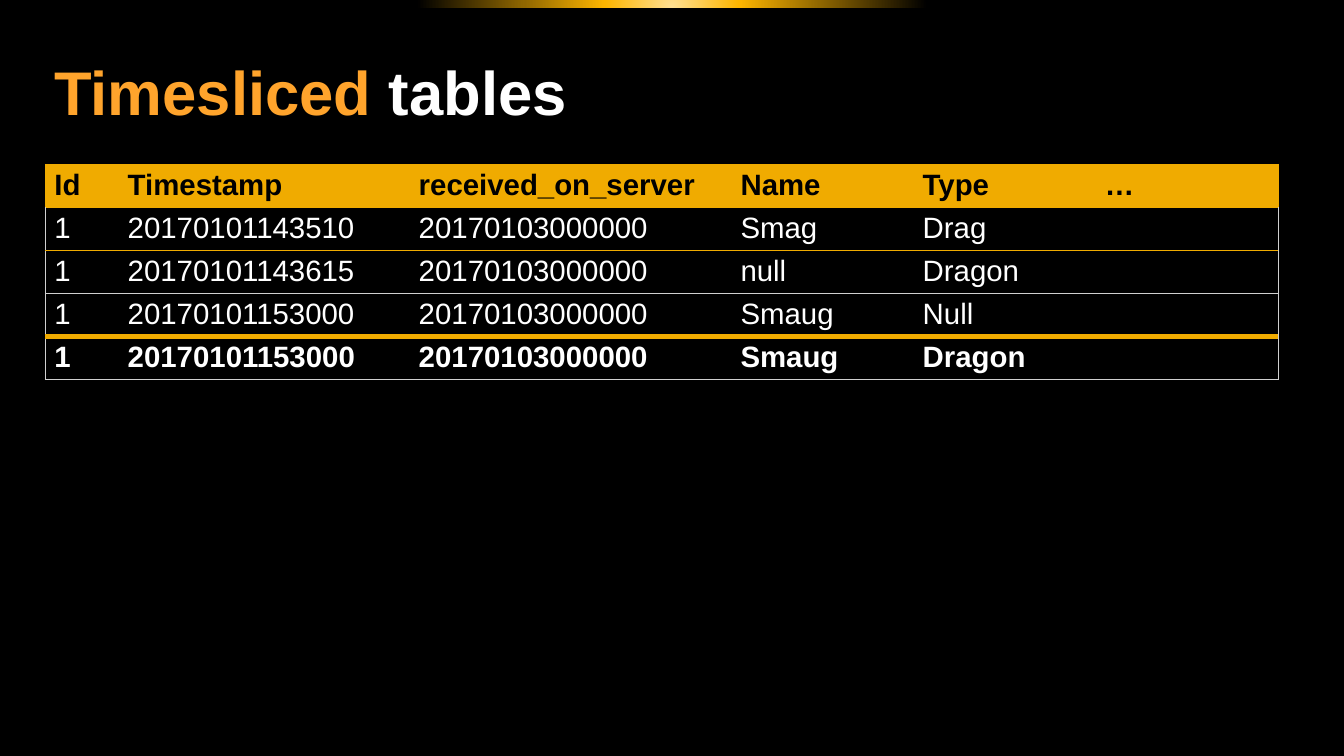
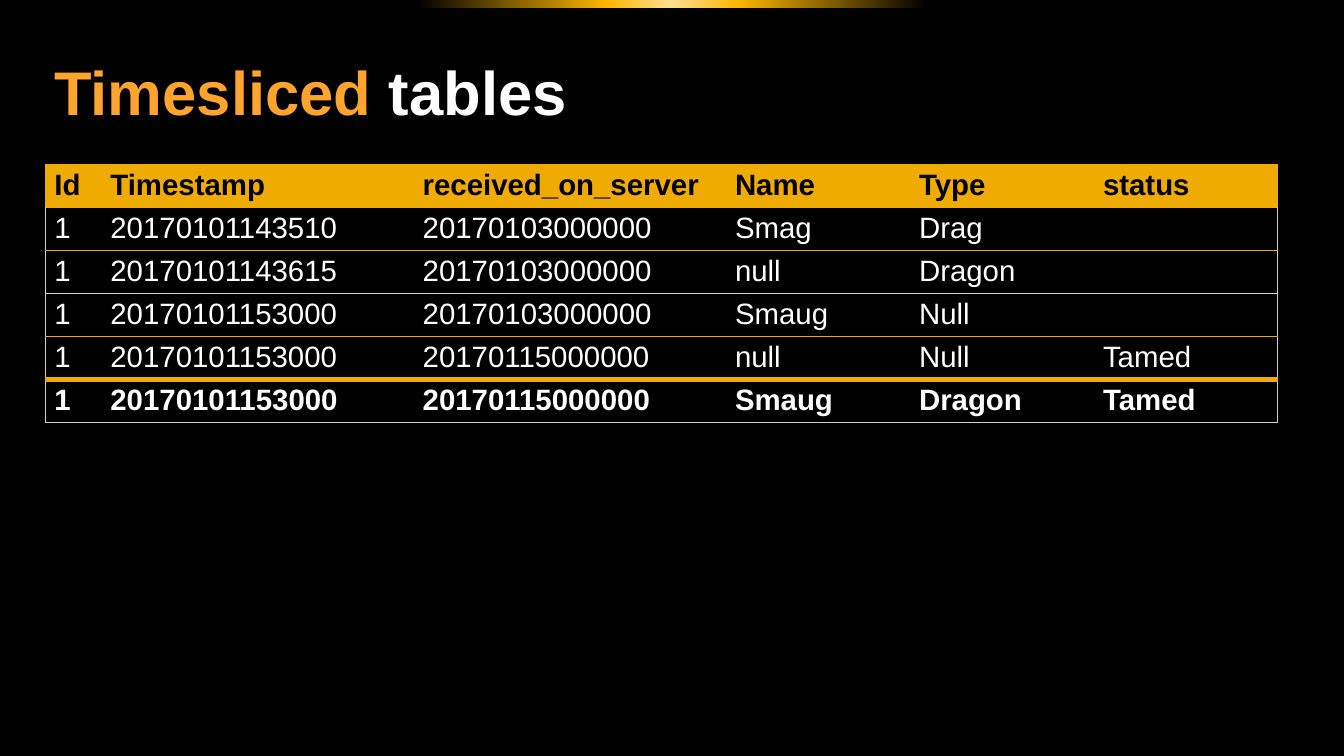
import pptx
import pptx.dml.color
import pptx.enum.shapes
import pptx.enum.text
import pptx.oxml
import pptx.oxml.ns
import pptx.util
from dataclasses import dataclass

Pt = pptx.util.Pt


@dataclass(frozen=True)
class Theme:
    font: str = "Arial"
    title_size: float = 44
    table_size: float = 21
    background: str = "000000"
    text: str = "FFFFFF"
    highlight: str = "FFA42C"
    amber: str = "F0AB00"
    frame: str = "D0D0D0"
    glow: tuple = ((0, "FFE093"), (10, "FDB500"), (22, "906700"), (38, "000000"))
    thin: float = 0.79
    thick: float = 4


THEME = Theme()
SLIDE_WIDTH, SLIDE_HEIGHT = 960.5, 540
LEFT, CONTENT_WIDTH = 32.4, 880.6
TABLE_TOP, ROW_HEIGHT = 117.4, 30.75
INSET_X, INSET_Y = 6.5, 3.25

# Table content: first row is the header, last row the merged result
TIMESLICES = [
    ["1", "20170101143510", "20170103000000", "Smag", "Drag", ""],
    ["1", "20170101143615", "20170103000000", "null", "Dragon", ""],
    ["1", "20170101153000", "20170103000000", "Smaug", "Null", ""],
]
HEADER = ["Id", "Timestamp", "received_on_server", "Name", "Type"]
BEFORE_TAMING = [
    HEADER + ["…"],
    *TIMESLICES,
    ["1", "20170101153000", "20170103000000", "Smaug", "Dragon", ""],
]
AFTER_TAMING = [
    HEADER + ["status"],
    *TIMESLICES,
    ["1", "20170101153000", "20170115000000", "null", "Null", "Tamed"],
    ["1", "20170101153000", "20170115000000", "Smaug", "Dragon", "Tamed"],
]


def rgb(color):
    return pptx.dml.color.RGBColor.from_string(color)


def format_run(run, size, color, bold):
    run.font.name = THEME.font
    run.font.size = Pt(size)
    run.font.bold = bold
    run.font.color.rgb = rgb(color)


# Shared look: black background, title place and glow band
def style_layout(layout):
    fill = layout.background.fill
    fill.solid()
    fill.fore_color.rgb = rgb(THEME.background)
    title = layout.placeholders[0]
    title.left, title.top = Pt(LEFT), Pt(38.2)
    title.width, title.height = Pt(CONTENT_WIDTH), Pt(53.3)


def add_glow_band(slide, layout):
    band = slide.shapes.add_shape(
        pptx.enum.shapes.MSO_SHAPE.RECTANGLE, 0, Pt(-1.4), Pt(SLIDE_WIDTH), Pt(6.5))
    band.shadow.inherit = False
    band.line.fill.background()
    stops = "".join(
        f'<a:gs pos="{position * 1000}"><a:srgbClr val="{color}"/></a:gs>'
        for position, color in THEME.glow)
    gradient = pptx.oxml.parse_xml(
        f'<a:gradFill {pptx.oxml.ns.nsdecls("a")} rotWithShape="1">'
        f'<a:gsLst>{stops}</a:gsLst><a:path path="circle">'
        '<a:fillToRect l="50000" t="130000" r="50000" b="-30000"/>'
        '</a:path></a:gradFill>')
    band.element.spPr.insert(2, gradient)
    # The layout shows the band on every slide
    band.element.nvSpPr.cNvPr.set("id", "20")
    layout.shapes.element.append(band.element)


def add_title(slide, highlighted, rest):
    frame = slide.shapes.title.text_frame
    frame.word_wrap = True
    frame.auto_size = pptx.enum.text.MSO_AUTO_SIZE.NONE
    frame.vertical_anchor = pptx.enum.text.MSO_ANCHOR.MIDDLE
    frame.margin_left = frame.margin_right = Pt(INSET_X)
    frame.margin_top = frame.margin_bottom = 0
    paragraph = frame.paragraphs[0]
    paragraph.alignment = pptx.enum.text.PP_ALIGN.LEFT
    for text, color in ((highlighted, THEME.highlight), (rest, THEME.text)):
        run = paragraph.add_run()
        run.text = text
        format_run(run, THEME.title_size, color, True)


# Table borders
def set_borders(cell, borders):
    properties = cell._tc.get_or_add_tcPr()
    for side in "LRTB":
        color, width = borders.get(side, (None, 0))
        paint = (f'<a:solidFill><a:srgbClr val="{color}"/></a:solidFill>'
                 if color else "<a:noFill/>")
        properties.append(pptx.oxml.parse_xml(
            f'<a:ln{side} {pptx.oxml.ns.nsdecls("a")} w="{Pt(width)}">'
            f'{paint}</a:ln{side}>'))


def rule_below(row, last_row):
    """Thick above the result, framed at the end, otherwise alternating."""
    if row == last_row:
        return THEME.frame, THEME.thin
    if row == last_row - 1:
        return THEME.amber, THEME.thick
    color = THEME.frame if row and row % 2 == 0 else THEME.amber
    return color, THEME.thin


def cell_borders(row, column, last_row, last_column):
    borders = {"T": rule_below(max(row - 1, 0), last_row),
               "B": rule_below(row, last_row)}
    edge = (THEME.frame if row else THEME.amber, THEME.thin)
    if column == 0:
        borders["L"] = edge
    if column == last_column:
        borders["R"] = edge
    return borders


def fill_cell(cell, text, is_header, is_result):
    cell.margin_left = cell.margin_right = Pt(INSET_X)
    cell.margin_top = cell.margin_bottom = Pt(INSET_Y)
    if is_header:
        cell.fill.solid()
        cell.fill.fore_color.rgb = rgb(THEME.amber)
    else:
        cell.fill.background()
    if text:
        cell.text_frame.text = text
        color = THEME.background if is_header else THEME.text
        format_run(cell.text_frame.paragraphs[0].runs[0],
                   THEME.table_size, color, is_header or is_result)


def add_timeslice_table(slide, rows, widths):
    last_row, last_column = len(rows) - 1, len(widths) - 1
    table = slide.shapes.add_table(
        len(rows), len(widths), Pt(LEFT), Pt(TABLE_TOP),
        Pt(sum(widths)), Pt(ROW_HEIGHT * len(rows))).table
    table.horz_banding = False
    for column, width in enumerate(widths):
        table.columns[column].width = Pt(width)
    for row, texts in enumerate(rows):
        table.rows[row].height = Pt(ROW_HEIGHT)
        for column, text in enumerate(texts):
            cell = table.cell(row, column)
            set_borders(cell, cell_borders(row, column, last_row, last_column))
            fill_cell(cell, text, row == 0, row == last_row)


def main():
    deck = pptx.Presentation()
    deck.slide_width, deck.slide_height = Pt(SLIDE_WIDTH), Pt(SLIDE_HEIGHT)
    layout = deck.slide_layouts[5]
    style_layout(layout)
    tables = [
        (BEFORE_TAMING, [52.4, 208, 230] + [130.2] * 3),
        (AFTER_TAMING, [40, 223.2, 223.2] + [131.5] * 3),
    ]
    for number, (rows, widths) in enumerate(tables):
        slide = deck.slides.add_slide(layout)
        if number == 0:
            add_glow_band(slide, layout)
        add_title(slide, "Timesliced ", "tables")
        add_timeslice_table(slide, rows, widths)
    deck.save("out.pptx")


if __name__ == "__main__":
    main()
